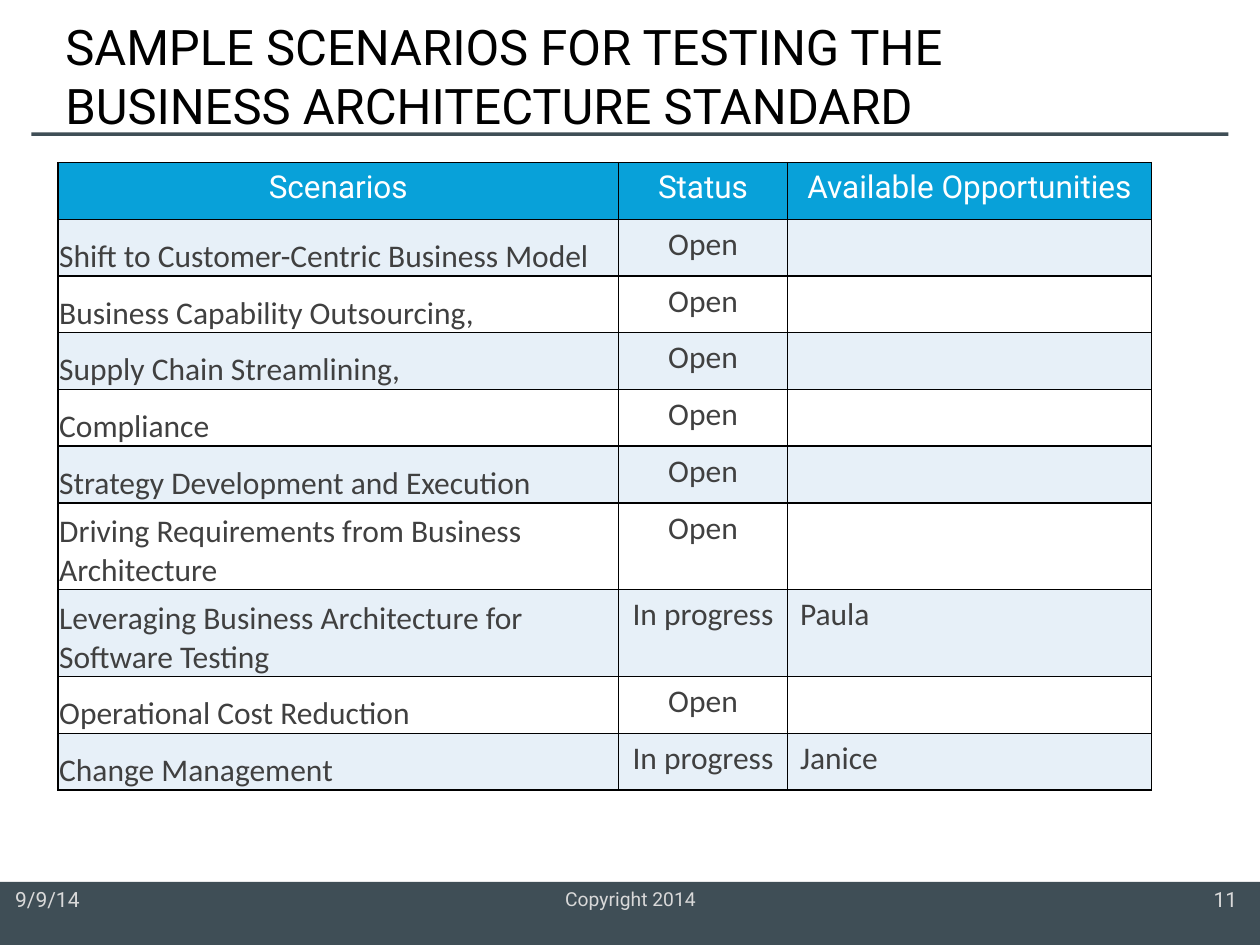
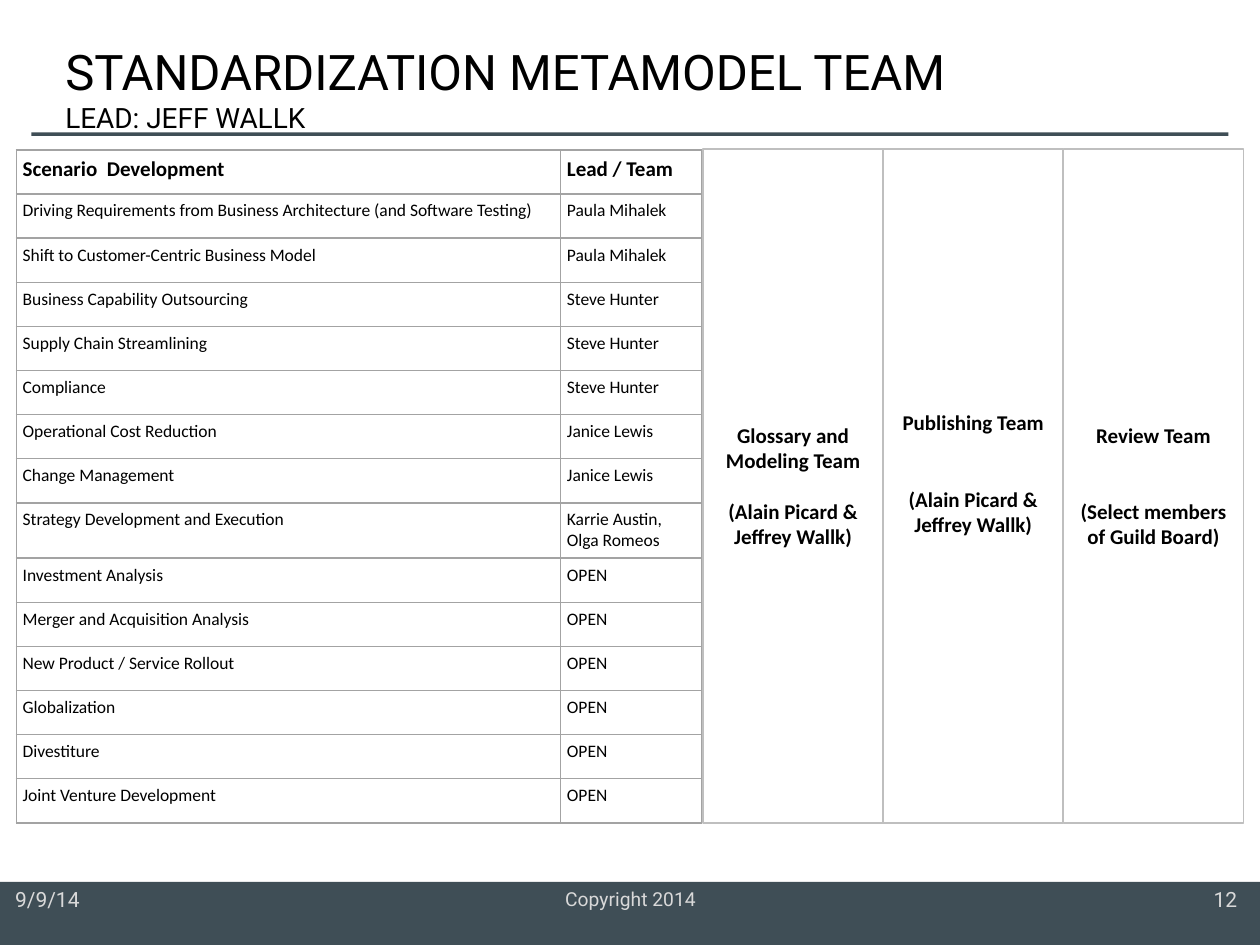
from dataclasses import dataclass
from typing import NamedTuple, Optional

from lxml import etree
from pptx import Presentation
from pptx import util as u
from pptx.dml.color import RGBColor
from pptx.enum import shapes, text
from pptx.oxml import ns
from pptx.util import Inches, Pt

LEFT, CENTER = text.PP_ALIGN.LEFT, text.PP_ALIGN.CENTER
TOP, MIDDLE, BOTTOM = text.MSO_ANCHOR.TOP, text.MSO_ANCHOR.MIDDLE, text.MSO_ANCHOR.BOTTOM


class Style(NamedTuple):
    font: str
    size: float
    color: str
    bold: bool = False


@dataclass(frozen=True)
class Theme:
    slate: str = "3F4E56"
    header_blue: str = "08A1D9"
    stripes: tuple[str, str] = ("E7F0F8", "FFFFFF")
    scenario_border: str = "000000"
    team_border: str = "A3A3A3"
    panel_border: str = "BFBFBF"
    title: Style = Style("Roboto", 28, "000000")
    subtitle: Style = Style("Roboto", 16, "000000")
    footer: Style = Style("Roboto", 12, "D9D9D9")
    copyright: Style = Style("Roboto", 11, "D9D9D9")
    scenario_header: Style = Style("Roboto", 18, "FFFFFF")
    scenario_body: Style = Style("Calibri", 18, "404040")
    team_header: Style = Style("Calibri", 12, "000000", True)
    team_body: Style = Style("Calibri", 10, "000000")


THEME = Theme()


class Box(NamedTuple):
    left: float
    top: float
    width: float
    height: float

    def lengths(self) -> list[u.Length]:
        return [Inches(value) for value in self]


class Insets(NamedTuple):
    left: float = 0.1
    top: float = 0.05
    right: float = 0.1
    bottom: float = 0.05


class Column(NamedTuple):
    heading: str
    width: float
    align: int = LEFT
    anchor: int = TOP
    insets: Insets = Insets()


@dataclass(frozen=True)
class Grid:
    left: float
    top: float
    columns: list[Column]
    rows: list[tuple[str, ...]]
    row_height: float
    tall_height: float
    tall_rows: set[str]
    border: str
    header: Style
    body: Style
    header_insets: Insets
    header_align: int = LEFT
    header_fill: Optional[str] = None
    stripes: Optional[tuple[str, str]] = None


class Panel(NamedTuple):
    team: str
    members: str
    blank_lines: int
    bottom_inset: float = 0.05


def rgb(color: str) -> RGBColor:
    return RGBColor.from_string(color)


def style_font(font, style: Style) -> None:
    font.name, font.size, font.bold = style.font, Pt(style.size), style.bold
    font.color.rgb = rgb(style.color)


def set_insets(target, insets: Insets) -> None:
    """Apply insets to a text frame or a table cell."""
    target.margin_left, target.margin_top = Inches(insets.left), Inches(insets.top)
    target.margin_right, target.margin_bottom = Inches(insets.right), Inches(insets.bottom)


def write(frame, content: str, style: Style, align: int = LEFT) -> None:
    frame.text = content
    for paragraph in frame.paragraphs:
        paragraph.alignment = align
        style_font(paragraph.font, style)
        for run in paragraph.runs:
            style_font(run.font, style)


def add_text(slide, box: Box, content: str, style: Style, align: int = LEFT,
             anchor: int = TOP, insets: Insets = Insets(), wrap: bool = True):
    frame = slide.shapes.add_textbox(*box.lengths()).text_frame
    frame.word_wrap = wrap
    frame.vertical_anchor = anchor
    set_insets(frame, insets)
    write(frame, content, style, align)
    return frame


def add_rectangle(slide, box: Box, fill: Optional[str] = None, line: Optional[str] = None):
    rectangle = slide.shapes.add_shape(shapes.MSO_SHAPE.RECTANGLE, *box.lengths())
    rectangle.shadow.inherit = False
    if fill:
        rectangle.fill.solid()
        rectangle.fill.fore_color.rgb = rgb(fill)
    else:
        rectangle.fill.background()
    if line:
        rectangle.line.color.rgb = rgb(line)
        rectangle.line.width = Pt(1)
    else:
        rectangle.line.fill.background()
    return rectangle


def add_frame(deck, number: int, title: str, title_top: float, subtitle: str = ""):
    """Add a slide with its title, rule and footer band."""
    slide = deck.slides.add_slide(deck.slide_layouts[6])
    add_rectangle(slide, Box(0, 7, 10, 0.5), THEME.slate)
    add_rectangle(slide, Box(0.25, 1.05, 9.5, 0.03), THEME.slate)
    flush = Insets(0, 0, 0, 0)
    add_text(slide, Box(0.12, 7.04, 0.75, 0.2), "9/9/14", THEME.footer, LEFT, MIDDLE, flush, False)
    add_text(slide, Box(9.62, 7.04, 0.21, 0.2), str(number), THEME.footer,
             CENTER, MIDDLE, flush, False)
    add_text(slide, Box(2.42, 6.99, 5.17, 0.3), "Copyright 2014", THEME.copyright, CENTER)
    heading = f"{title}\v{subtitle}" if subtitle else title
    frame = add_text(slide, Box(0.42, title_top, 7.5, 0.6), heading, THEME.title, anchor=MIDDLE)
    for run in frame.paragraphs[0].runs[1:]:
        style_font(run.font, THEME.subtitle)
    return slide


def add_borders(cell, color: str) -> None:
    properties = cell._tc.get_or_add_tcPr()
    for side in ("a:lnL", "a:lnR", "a:lnT", "a:lnB"):
        line = etree.SubElement(properties, ns.qn(side), w=str(Pt(1)))
        fill = etree.SubElement(line, ns.qn("a:solidFill"))
        etree.SubElement(fill, ns.qn("a:srgbClr"), val=color)


def fill_cell(cell, color: Optional[str]) -> None:
    if color:
        cell.fill.solid()
        cell.fill.fore_color.rgb = rgb(color)
    else:
        cell.fill.background()


def add_grid(slide, grid: Grid) -> None:
    lines = [tuple(column.heading for column in grid.columns), *grid.rows]
    heights = [grid.tall_height if line[0] in grid.tall_rows else grid.row_height
               for line in lines]
    box = Box(grid.left, grid.top, sum(column.width for column in grid.columns), sum(heights))
    table = slide.shapes.add_table(len(lines), len(grid.columns), *box.lengths()).table
    table.first_row = table.horz_banding = False
    for table_column, column in zip(table.columns, grid.columns):
        table_column.width = Inches(column.width)
    for row, (line, height) in enumerate(zip(lines, heights)):
        table.rows[row].height = Inches(height)
        for index, (column, content) in enumerate(zip(grid.columns, line)):
            cell = table.cell(row, index)
            add_borders(cell, grid.border)
            if row == 0:
                fill_cell(cell, grid.header_fill)
                set_insets(cell, grid.header_insets)
                write(cell.text_frame, content, grid.header, grid.header_align)
            else:
                fill_cell(cell, grid.stripes[(row - 1) % 2] if grid.stripes else None)
                set_insets(cell, column.insets)
                cell.vertical_anchor = column.anchor
                write(cell.text_frame, content, grid.body, column.align)


def add_panel(slide, box: Box, panel: Panel) -> None:
    frame = add_rectangle(slide, box, line=THEME.panel_border).text_frame
    frame.word_wrap = True
    frame.vertical_anchor = MIDDLE
    set_insets(frame, Insets(bottom=panel.bottom_inset))
    write(frame, f"{panel.team}\n{panel.members}", THEME.team_header, CENTER)
    line_height = 1.22 * THEME.team_header.size
    frame.paragraphs[1].space_before = Pt(round(panel.blank_lines * line_height, 1))


TIGHT = Insets(0.01, 0.01, 0.01, 0)
EVEN = Insets(0.05, 0.05, 0.05, 0.05)

SCENARIOS = Grid(
    left=0.46, top=1.29,
    columns=[
        Column("Scenarios", 4.45, anchor=BOTTOM, insets=TIGHT),
        Column("Status", 1.34, CENTER),
        Column("Available Opportunities", 2.89),
    ],
    rows=[
        ("Shift to Customer-Centric Business Model", "Open", ""),
        ("Business Capability Outsourcing,", "Open", ""),
        ("Supply Chain Streamlining,", "Open", ""),
        ("Compliance", "Open", ""),
        ("Strategy Development and Execution", "Open", ""),
        ("Driving Requirements from Business Architecture", "Open", ""),
        ("Leveraging Business Architecture for Software Testing", "In progress", "Paula"),
        ("Operational Cost Reduction", "Open", ""),
        ("Change Management", "In progress", "Janice"),
    ],
    row_height=0.45, tall_height=0.69,
    tall_rows={"Driving Requirements from Business Architecture",
               "Leveraging Business Architecture for Software Testing"},
    border=THEME.scenario_border, header=THEME.scenario_header, body=THEME.scenario_body,
    header_insets=Insets(), header_align=CENTER,
    header_fill=THEME.header_blue, stripes=THEME.stripes,
)

TEAMS = Grid(
    left=0.13, top=1.19,
    columns=[Column("Scenario  Development", 4.32, insets=EVEN),
             Column("Lead / Team", 1.12, insets=EVEN)],
    rows=[
        ("Driving Requirements from Business Architecture (and Software Testing)",
         "Paula Mihalek"),
        ("Shift to Customer-Centric Business Model", "Paula Mihalek"),
        ("Business Capability Outsourcing", "Steve Hunter"),
        ("Supply Chain Streamlining", "Steve Hunter"),
        ("Compliance", "Steve Hunter"),
        ("Operational Cost Reduction", "Janice Lewis"),
        ("Change Management", "Janice Lewis"),
        ("Strategy Development and Execution", "Karrie Austin, Olga Romeos"),
        ("Investment Analysis", "OPEN"),
        ("Merger and Acquisition Analysis", "OPEN"),
        ("New Product / Service Rollout", "OPEN"),
        ("Globalization", "OPEN"),
        ("Divestiture", "OPEN"),
        ("Joint Venture Development", "OPEN"),
    ],
    row_height=0.35, tall_height=0.44, tall_rows={"Strategy Development and Execution"},
    border=THEME.team_border, header=THEME.team_header, body=THEME.team_body,
    header_insets=EVEN,
)

PANELS = [
    Panel("Glossary and Modeling Team", "(Alain Picard & Jeffrey Wallk)", 1),
    Panel("Publishing Team", "(Alain Picard & Jeffrey Wallk)", 2, bottom_inset=0.25),
    Panel("Review Team", "(Select members of Guild Board)", 2),
]
PANEL_WIDTH = 1.43


def main() -> None:
    deck = Presentation()
    deck.slide_width, deck.slide_height = Inches(10), Inches(7.5)

    scenarios = add_frame(
        deck, 11, "SAMPLE SCENARIOS FOR TESTING THE BUSINESS ARCHITECTURE STANDARD", 0.3)
    add_grid(scenarios, SCENARIOS)

    teams = add_frame(deck, 12, "STANDARDIZATION METAMODEL TEAM", 0.4, "LEAD: JEFF WALLK")
    add_grid(teams, TEAMS)
    for index, panel in enumerate(PANELS):
        add_panel(teams, Box(5.58 + index * PANEL_WIDTH, 1.18, PANEL_WIDTH, 5.35), panel)

    deck.save("out.pptx")


if __name__ == "__main__":
    main()
